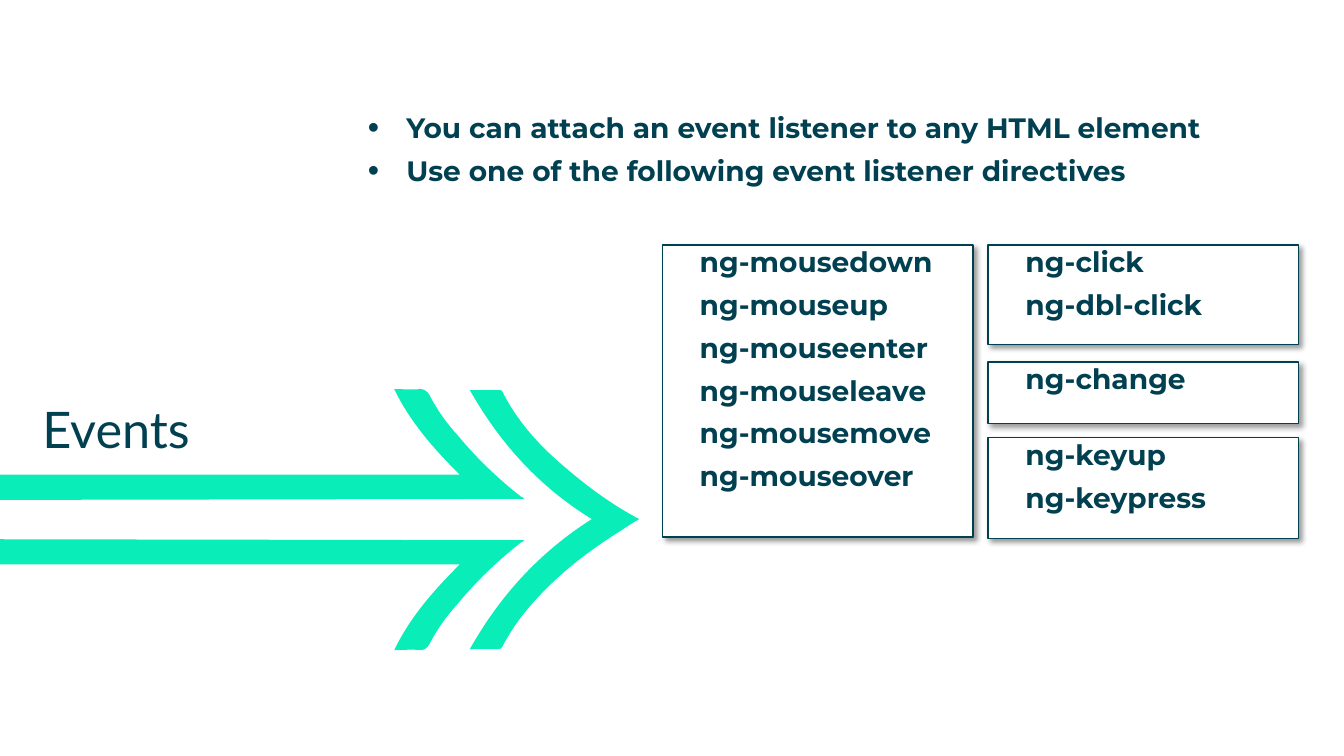
"""Build the Events slide: a double arrow, two bullets and boxes of directives."""
from dataclasses import dataclass

from lxml.etree import SubElement as Sub
from pptx import Presentation as Deck
from pptx.dml.color import RGBColor as Rgb
from pptx.enum.shapes import MSO_SHAPE as Kind
from pptx.enum.text import MSO_ANCHOR as Anchor, PP_ALIGN as Align
from pptx.oxml.ns import qn
from pptx.util import Inches, Pt

HUES = {"ink": "004050", "mint": "09EDB8", "paper": "FFFFFF", "shade": "000000"}
AXIS = 5.155
Route = list[tuple[float, ...]]

BARB: Route = [
    (5.2, 4.95), (-0.01, 4.96),
    (-0.01, 4.88, -0.01, 4.79, -0.01, 4.71),
    (4.56, 4.71),
    (4.3, 4.45, 4.07, 4.19, 3.91, 3.86),
    (4, 3.86, 4.08, 3.87, 4.17, 3.86),
    (4.2, 3.86, 4.24, 3.88, 4.26, 3.92),
    (4.33, 4.06, 4.43, 4.2, 4.54, 4.32),
    (4.73, 4.55, 4.94, 4.75, 5.17, 4.93),
    (5.18, 4.93, 5.19, 4.94, 5.2, 4.95),
]
TIP: Route = [
    (5.87, 5.15),
    (5.35, 4.83, 4.96, 4.4, 4.66, 3.87),
    (4.66, 3.87, 4.67, 3.87, 4.68, 3.87),
    (4.77, 3.87, 4.86, 3.87, 4.94, 3.87),
    (4.96, 3.87, 4.97, 3.87, 4.98, 3.88),
    (5.12, 4.16, 5.32, 4.39, 5.55, 4.59),
    (5.79, 4.8, 6.04, 4.99, 6.32, 5.14),
    (6.34, 5.15),
    (6.27, 5.19, 6.21, 5.23, 6.15, 5.27),
    (5.8, 5.49, 5.48, 5.74, 5.21, 6.07),
    (5.12, 6.18, 5.05, 6.29, 4.98, 6.42),
    (4.98, 6.43, 4.96, 6.44, 4.94, 6.44),
    (4.85, 6.44, 4.76, 6.44, 4.66, 6.44),
    (4.96, 5.91, 5.35, 5.48, 5.87, 5.15),
]


@dataclass(frozen=True)
class Box:
    left: float
    top: float
    high: float
    words: tuple[str, ...]
    wide: float = 3.08


BOXES = [
    Box(9.8, 2.43, 0.99, ("ng-click", "ng-dbl-click")),
    Box(6.57, 2.43, 2.9, ("ng-mousedown", "ng-mouseup", "ng-mouseenter",
                          "ng-mouseleave", "ng-mousemove", "ng-mouseover")),
    Box(9.8, 4.34, 1, ("ng-keyup", "ng-keypress")),
    Box(9.8, 3.59, 0.61, ("ng-change",)),
]


def hue(name: str) -> Rgb:
    return Rgb.from_string(HUES[name])


def flip(route: Route) -> Route:
    return [tuple(2 * AXIS - v if i % 2 else v for i, v in enumerate(step))
            for step in route]


def draw(slide, route: Route) -> None:
    spots = [(Inches(x), Inches(y)) for step in route
             for x, y in zip(step[::2], step[1::2])]
    pen = slide.shapes.build_freeform(*spots[0], scale=1.0)
    pen.add_line_segments(spots[1:], close=True)
    shape = pen.convert_to_shape()
    bend(shape, route)
    shape.shadow.inherit = False
    shape.fill.solid()
    shape.fill.fore_color.rgb = hue("mint")
    shape.line.fill.background()


def bend(shape, route: Route) -> None:
    lines = iter(list(shape._element.iter(qn("a:lnTo"))))
    for step in route[1:]:
        first = next(lines)
        if len(step) == 6:
            curve = Sub(first.getparent(), qn("a:cubicBezTo"))
            first.addprevious(curve)
            for line in (first, next(lines), next(lines)):
                curve.append(line[0])
                line.getparent().remove(line)


def write(shape, lines: tuple[str, ...], *, size: float = 20, face: str = "Montserrat",
          bold: bool = True, after: float = 6.5, left: float = 0, hang: float = 0,
          level: int = 0, mark: str = "", anchor: Anchor = Anchor.TOP) -> None:
    frame = shape.text_frame
    frame.word_wrap = True
    frame.vertical_anchor = anchor
    frame.margin_left = frame.margin_right = frame.margin_top = frame.margin_bottom = 0
    for i, line in enumerate(lines):
        para = frame.add_paragraph() if i else frame.paragraphs[0]
        para.alignment = Align.LEFT
        para.level = level
        para.space_after = Pt(after)
        props = para._p.get_or_add_pPr()
        props.set("marL", str(Inches(left)))
        props.set("indent", str(Inches(-hang)))
        if mark:
            Sub(props, qn("a:buSzPct"), val="115000")
            Sub(props, qn("a:buFont"), typeface="Arial")
            Sub(props, qn("a:buChar"), char=mark)
        run = para.add_run()
        run.text = line
        font = run.font
        font.size, font.name, font.bold = Pt(size), face, bold
        font.color.rgb = hue("ink")


def shade(shape) -> None:
    shape.shadow.inherit = False
    glow = Sub(shape._element.spPr.find(qn("a:effectLst")), qn("a:outerShdw"),
               blurRad=str(Pt(4)), dist=str(Pt(3)), dir="2700000",
               algn="tl", rotWithShape="0")
    tint = Sub(glow, qn("a:srgbClr"), val=HUES["shade"])
    Sub(tint, qn("a:alpha"), val="40000")


def place(slide, box: Box) -> None:
    shape = slide.shapes.add_shape(Kind.RECTANGLE, *map(
        Inches, (box.left, box.top, box.wide, box.high)))
    shape.fill.solid()
    shape.fill.fore_color.rgb = hue("paper")
    shape.line.color.rgb = hue("ink")
    shape.line.width = Pt(1)
    shade(shape)
    write(shape, box.words, left=0.37, level=1)


def main() -> None:
    deck = Deck()
    deck.slide_width, deck.slide_height = Inches(13.33), Inches(7.5)
    slide = deck.slides.add_slide(deck.slide_layouts[6])
    for route in (BARB, TIP, flip(BARB)):
        draw(slide, route)
    title = slide.shapes.add_textbox(*map(Inches, (0.42, 1.36, 4.04, 3.19)))
    write(title, ("Events",), size=36, face="Lato", bold=False, after=0,
          anchor=Anchor.BOTTOM)
    points = slide.shapes.add_textbox(*map(Inches, (3.65, 1.1, 9.27, 1.16)))
    write(points, ("You can attach an event listener to any HTML element",
                   "Use one of the following event listener directives"),
          left=0.38, hang=0.38, mark="•")
    for box in BOXES:
        place(slide, box)
    deck.save("out.pptx")


if __name__ == "__main__":
    main()
